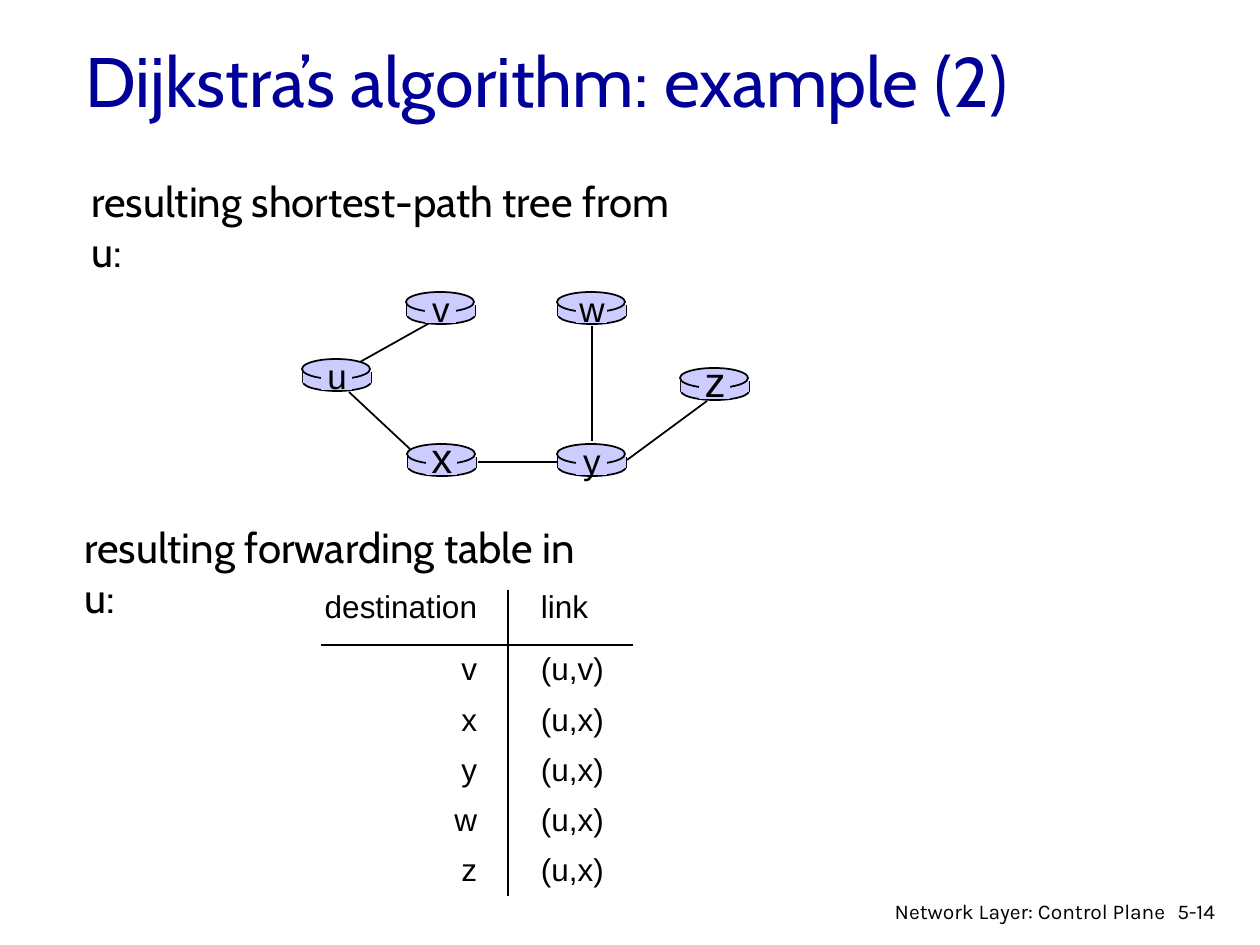
import pptx
import pptx.dml.color
import pptx.enum.shapes
import pptx.enum.text
import pptx.oxml
import pptx.oxml.ns
import pptx.util

RGBColor = pptx.dml.color.RGBColor
BLACK = RGBColor(0, 0, 0)
NAVY = RGBColor(0, 0, 0x99)
LAVENDER = RGBColor(0xCC, 0xCC, 0xFF)

SHAPES = pptx.enum.shapes.MSO_SHAPE
ALIGN = pptx.enum.text.PP_ALIGN
ANCHOR = pptx.enum.text.MSO_ANCHOR
EMU_PER_PX = 914400 / 126

ROUTERS = {"u": (0, 67), "x": (105, 152), "v": (104, 0),
           "w": (255, 0), "y": (255, 152), "z": (378, 76)}
LARGE_LABELS = "xz"
LINKS = [(58, 70, 133, 28), (290, 34, 290, 149), (325, 168, 405, 109),
         (256, 170, 176, 170), (108, 157, 47, 100)]
FORWARDING = [("destination", "link"), ("v", "(u,v)"), ("x", "(u,x)"),
              ("y", "(u,x)"), ("w", "(u,x)"), ("z", "(u,x)")]


def px(length):
    return pptx.util.Emu(round(length * EMU_PER_PX))


def format_text(text_frame, text, font_name, size, color=BLACK, align=ALIGN.LEFT):
    text_frame.text = text
    paragraph = text_frame.paragraphs[0]
    paragraph.alignment = align
    font = paragraph.runs[0].font
    font.name = font_name
    font.size = pptx.util.Pt(size)
    font.color.rgb = color


def add_text(slide, box, text, font_name, size, color=BLACK,
             align=ALIGN.LEFT, anchor=ANCHOR.TOP, wrap=True):
    text_frame = slide.shapes.add_textbox(*map(px, box)).text_frame
    text_frame.word_wrap = wrap
    text_frame.vertical_anchor = anchor
    format_text(text_frame, text, font_name, size, color, align)


def add_line(slide, start_x, start_y, end_x, end_y):
    connector = slide.shapes.add_connector(
        pptx.enum.shapes.MSO_CONNECTOR.STRAIGHT,
        px(start_x), px(start_y), px(end_x), px(end_y))
    connector.line.color.rgb = BLACK
    connector.line.width = pptx.util.Pt(1)
    properties = connector.element.spPr
    properties.append(properties.makeelement(pptx.oxml.ns.qn("a:effectLst"), {}))


def add_part(slide, kind, box, outlined):
    shape = slide.shapes.add_shape(kind, *map(px, box))
    shape.shadow.inherit = False
    shape.fill.solid()
    shape.fill.fore_color.rgb = LAVENDER
    if outlined:
        shape.line.color.rgb = BLACK
        shape.line.width = pptx.util.Pt(1)
    else:
        shape.line.fill.background()


def add_router(slide, left, top, label):
    add_part(slide, SHAPES.OVAL, (left + 1, top + 14, 68, 18), True)
    for side in (left + 1, left + 69):
        add_line(slide, side, top + 13, side, top + 24)
    add_part(slide, SHAPES.RECTANGLE, (left + 1, top + 13, 68, 11), False)
    add_part(slide, SHAPES.OVAL, (left, top, 68, 20), True)
    add_part(slide, SHAPES.RECTANGLE, (left + 19, top + 2, 31, 29), False)
    size, center_y = (24, 13) if label in LARGE_LABELS else (20, 16)
    add_text(slide, (left + 10, top + center_y - 27, 50, 54), label, "Arial", size,
             align=ALIGN.CENTER, anchor=ANCHOR.MIDDLE, wrap=False)


def add_path_tree(slide, left, top):
    for start_x, start_y, end_x, end_y in LINKS:
        add_line(slide, left + start_x, top + start_y, left + end_x, top + end_y)
    for label, (offset_x, offset_y) in ROUTERS.items():
        add_router(slide, left + offset_x, top + offset_y, label)


def set_borders(cell, visible):
    properties = cell._tc.get_or_add_tcPr()
    for position, side in enumerate(("lnL", "lnR", "lnT", "lnB")):
        paint = ('<a:solidFill><a:srgbClr val="000000"/></a:solidFill>'
                 if side in visible else "<a:noFill/>")
        border = pptx.oxml.parse_xml(
            f'<a:{side} {pptx.oxml.ns.nsdecls("a")} w="9525">{paint}</a:{side}>')
        properties.insert(position, border)


def add_forwarding_table(slide, left, top, width, height):
    header_height, divider = 55, 187
    row_height = (height - header_height) / (len(FORWARDING) - 1)
    table = slide.shapes.add_table(
        len(FORWARDING), 2, px(left), px(top), px(width), px(height)).table
    table.first_row = table.horz_banding = False
    table.columns[0].width = px(divider)
    table.columns[1].width = px(width - divider)
    for row_index, values in enumerate(FORWARDING):
        is_header = row_index == 0
        table.rows[row_index].height = px(header_height if is_header else row_height)
        for column_index, value in enumerate(values):
            cell = table.cell(row_index, column_index)
            cell.fill.background()
            cell.margin_top = cell.margin_bottom = 0
            cell.margin_left = px(33 if column_index else 0)
            cell.margin_right = px(0 if column_index else 31)
            cell.vertical_anchor = ANCHOR.TOP if is_header else ANCHOR.MIDDLE
            format_text(cell.text_frame, value, "Arial", 18,
                        align=ALIGN.LEFT if column_index else ALIGN.RIGHT)
            visible = {"lnL" if column_index else "lnR"}
            if row_index < 2:
                visible.add("lnB" if is_header else "lnT")
            set_borders(cell, visible)


def add_footer(slide, left, top):
    add_text(slide, (left, top, 300, 33), "Network Layer: Control Plane",
             "Karla", 12, align=ALIGN.RIGHT)
    add_text(slide, (left + 287, top, 76, 38), "5-14", "Karla", 12)


def main():
    presentation = pptx.Presentation()
    presentation.slide_width = px(1260)
    presentation.slide_height = px(945)
    slide = presentation.slides.add_slide(presentation.slide_layouts[6])

    add_text(slide, (73, 21, 1071, 117), "Dijkstra’s algorithm: example (2)",
             "Cabin", 40, NAVY, anchor=ANCHOR.MIDDLE)
    add_path_tree(slide, 302, 292)
    add_text(slide, (79, 169, 630, 63), "resulting shortest-path tree from u:", "Cabin", 24)
    add_forwarding_table(slide, 321, 590, 312, 306)
    add_text(slide, (72, 515, 544, 63), "resulting forwarding table in u:", "Cabin", 24)
    add_footer(slide, 878, 892)

    presentation.save("out.pptx")


if __name__ == "__main__":
    main()
